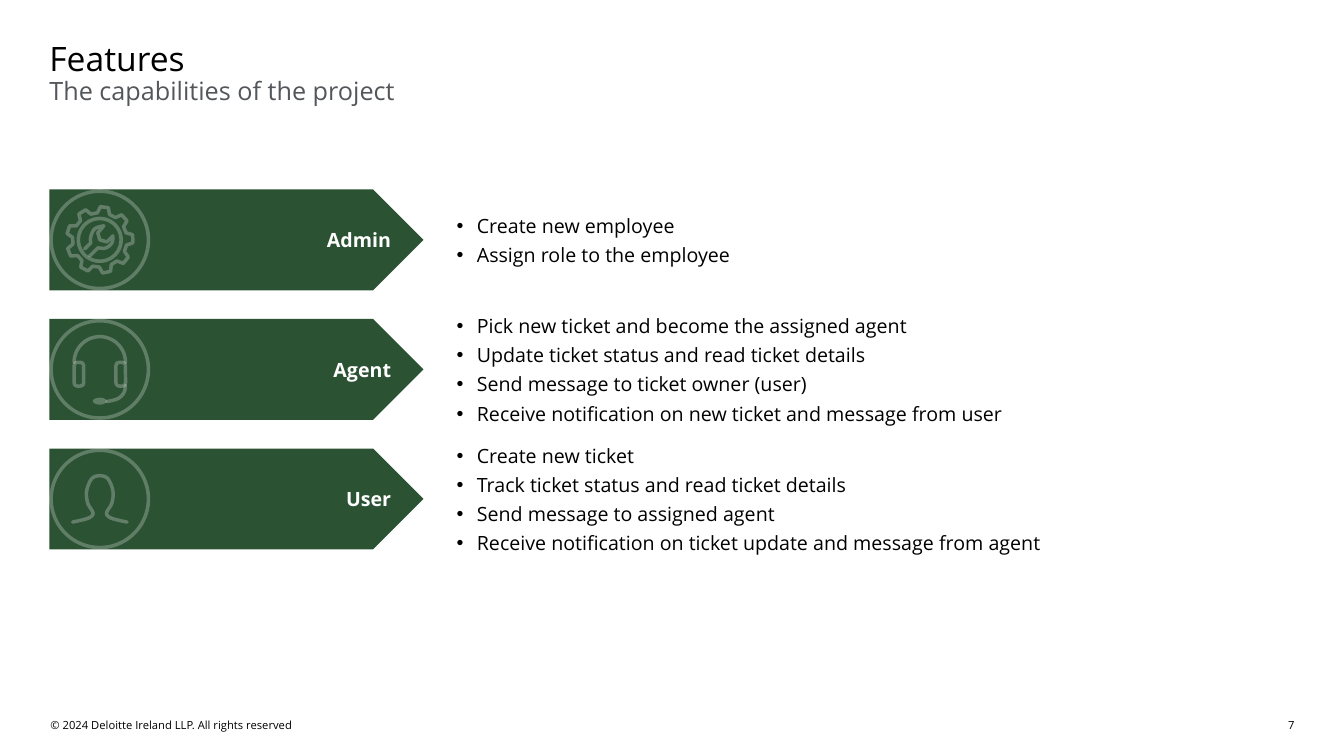
from math import cos, radians, sin

from lxml.etree import SubElement as Sub
from pptx import Presentation
from pptx.dml.color import RGBColor
from pptx.enum.shapes import MSO_SHAPE as Kind
from pptx.enum.text import MSO_ANCHOR as Anchor, MSO_AUTO_SIZE as Auto, PP_ALIGN as Align
from pptx.oxml.ns import qn
from pptx.util import Inches, Pt

FONT = "Open Sans"
BLACK, WHITE, GREY, GREEN = "000000", "FFFFFF", "53565A", "2C5234"
LEFT, TOP, PITCH, SIDE = 0.49, 1.88, 1.285, 1.0
STROKE = 2.5


def paint(fill, color, alpha=None):
    fill.solid()
    fill.fore_color.rgb = RGBColor.from_string(color)
    if alpha:
        tint = fill._xPr.find(qn("a:solidFill"))[0]
        Sub(tint, qn("a:alpha"), val=str(alpha * 1000))


def style(para, size, color, bold=False, align=Align.LEFT):
    para.alignment = align
    font = para.font
    font.name, font.size, font.bold = FONT, Pt(size), bold
    font.color.rgb = RGBColor.from_string(color)


def setup(frame, anchor=Anchor.TOP, pads=(0, 0, 0, 0)):
    frame.word_wrap = True
    frame.auto_size = Auto.NONE
    frame.vertical_anchor = anchor
    (frame.margin_left, frame.margin_top,
     frame.margin_right, frame.margin_bottom) = map(Inches, pads)


def place(shape, *box):
    shape.left, shape.top, shape.width, shape.height = map(Inches, box)


def head(slide, x, y, w):
    title, body = slide.placeholders
    parts = ((title, "Features", y, 0.37, 24, BLACK),
             (body, "The capabilities of the project", y + 0.37, 0.83, 18, GREY))
    for shape, text, top, high, size, color in parts:
        place(shape, x, top, w, high)
        frame = shape.text_frame
        setup(frame)
        frame.text = text
        para = frame.paragraphs[0]
        para.space_before = Pt(0)
        props = para._p.get_or_add_pPr()
        props.set("marL", "0")
        props.set("indent", "0")
        Sub(props, qn("a:buNone"))
        style(para, size, color)


def label(slide, text, box, align):
    frame = slide.shapes.add_textbox(*map(Inches, box)).text_frame
    setup(frame)
    frame.text = text
    style(frame.paragraphs[0], 8, BLACK, align=align)


def foot(slide, y):
    label(slide, "© 2024 Deloitte Ireland LLP. All rights reserved",
          (0.5, y, 5.86, 0.13), Align.LEFT)
    label(slide, "7", (12.5, y, 0.34, 0.13), Align.RIGHT)


def banner(slide, x, y, text):
    shape = slide.shapes.add_shape(Kind.PENTAGON, *map(Inches, (x, y, 3.71, SIDE)))
    shape.shadow.inherit = False
    paint(shape.fill, GREEN)
    shape.line.fill.background()
    frame = shape.text_frame
    setup(frame, Anchor.MIDDLE, (0.12, 0.07, 0.07, 0.07))
    frame.text = text
    style(frame.paragraphs[0], 14, WHITE, True, Align.RIGHT)


def bullets(slide, x, y, items):
    box = slide.shapes.add_textbox(*map(Inches, (x, y, 7.34, 0.75)))
    frame = box.text_frame
    setup(frame, Anchor.MIDDLE)
    frame.text = "\n".join(items)
    for rank, para in enumerate(frame.paragraphs):
        para.space_before = Pt(2 if rank else 0)
        para.space_after = Pt(2)
        props = para._p.get_or_add_pPr()
        props.set("marL", str(Inches(0.2)))
        props.set("indent", str(-Inches(0.2)))
        Sub(props, qn("a:buFont"), typeface="Arial")
        Sub(props, qn("a:buChar"), char="•")
        style(para, 14, BLACK)


def outline(shape):
    shape.shadow.inherit = False
    shape.fill.background()
    shape.line.width = Pt(STROKE)
    paint(shape.line.fill, WHITE, 25)
    edge = shape.line._get_or_add_ln()
    edge.set("cap", "rnd")
    Sub(edge, qn("a:round"))


def trace(slide, x, y, points, close=False):
    spots = [(Inches(x + px), Inches(y + py)) for px, py in points]
    pen = slide.shapes.build_freeform(*spots[0])
    pen.add_line_segments(spots[1:], close=close)
    outline(pen.convert_to_shape())


def solid(slide, kind, *box):
    shape = slide.shapes.add_shape(kind, *map(Inches, box))
    shape.shadow.inherit = False
    paint(shape.fill, WHITE, 25)
    shape.line.fill.background()
    return shape


def ring(slide, x, y, size):
    solid(slide, Kind.DONUT, x, y, size, size).adjustments[0] = 0.035 / size


def polar(radius, angle, cx=0.5, cy=0.5):
    turn = radians(angle)
    return cx + radius * cos(turn), cy + radius * sin(turn)


def smooth(points, steps=8):
    """Points along a Catmull-Rom curve through the given points."""
    ends = [points[0], *points, points[-1]]
    path = []
    for a, b, c, d in zip(ends, ends[1:], ends[2:], ends[3:]):
        for step in range(steps):
            t = step / steps
            path.append(tuple(
                q + t / 2 * (r - p + t * (2 * p - 5 * q + 4 * r - s
                                          + t * (3 * q - p - 3 * r + s)))
                for p, q, r, s in zip(a, b, c, d)))
    return path + [points[-1]]


def gear(slide, x, y):
    tooth = ((0.27, -13), (0.33, -7), (0.33, 7), (0.27, 13))
    trace(slide, x, y, [polar(r, 40 * turn - 2 + angle)
                        for turn in range(9) for r, angle in tooth], True)
    ring(slide, x + 0.27, y + 0.27, 0.46)
    bend = smooth([(0.41, 0.53), (0.41, 0.47), (0.45, 0.39), (0.54, 0.36)])
    grip = smooth([(0.63, 0.46), (0.62, 0.53), (0.56, 0.58), (0.48, 0.58)])
    jaw = [(0.48, 0.43), (0.5, 0.5), (0.57, 0.52)]
    trace(slide, x, y, [(0.35, 0.59), *bend, *jaw, *grip, (0.4, 0.66)])


def headset(slide, x, y):
    trace(slide, x, y, [polar(0.255, angle, cy=0.43) for angle in range(180, 361, 6)])
    for side in (0.245, 0.66):
        ear = slide.shapes.add_shape(
            Kind.ROUNDED_RECTANGLE, *map(Inches, (x + side, y + 0.43, 0.095, 0.235)))
        ear.adjustments[0] = 0.35
        outline(ear)
    trace(slide, x, y, smooth([(0.755, 0.66), (0.74, 0.73), (0.68, 0.79), (0.57, 0.82)]))
    solid(slide, Kind.OVAL, x + 0.43, y + 0.78, 0.14, 0.07)


def person(slide, x, y):
    half = [(0.23, 0.73), (0.36, 0.7), (0.42, 0.67), (0.43, 0.63),
            (0.38, 0.54), (0.37, 0.42), (0.42, 0.3)]
    other = [(1 - px, py) for px, py in reversed(half)]
    trace(slide, x, y, smooth([*half, (0.5, 0.27), *other]))


ROLES = (
    ("Admin", gear, ("Create new employee", "Assign role to the employee")),
    ("Agent", headset, ("Pick new ticket and become the assigned agent",
                        "Update ticket status and read ticket details",
                        "Send message to ticket owner (user)",
                        "Receive notification on new ticket and message from user")),
    ("User", person, ("Create new ticket",
                      "Track ticket status and read ticket details",
                      "Send message to assigned agent",
                      "Receive notification on ticket update and message from agent")),
)


def row(slide, x, y, name, icon, items):
    banner(slide, x, y, name)
    bullets(slide, x + 4.04, y + 0.125, items)
    ring(slide, x, y, SIDE)
    icon(slide, x, y)


def main():
    deck = Presentation()
    deck.slide_width, deck.slide_height = Inches(13.33), Inches(7.5)
    slide = deck.slides.add_slide(deck.slide_layouts[1])
    head(slide, LEFT, 0.38, 12.36)
    for rank, role in enumerate(ROLES):
        row(slide, LEFT, TOP + rank * PITCH, *role)
    foot(slide, 7.13)
    deck.save("out.pptx")


if __name__ == "__main__":
    main()
